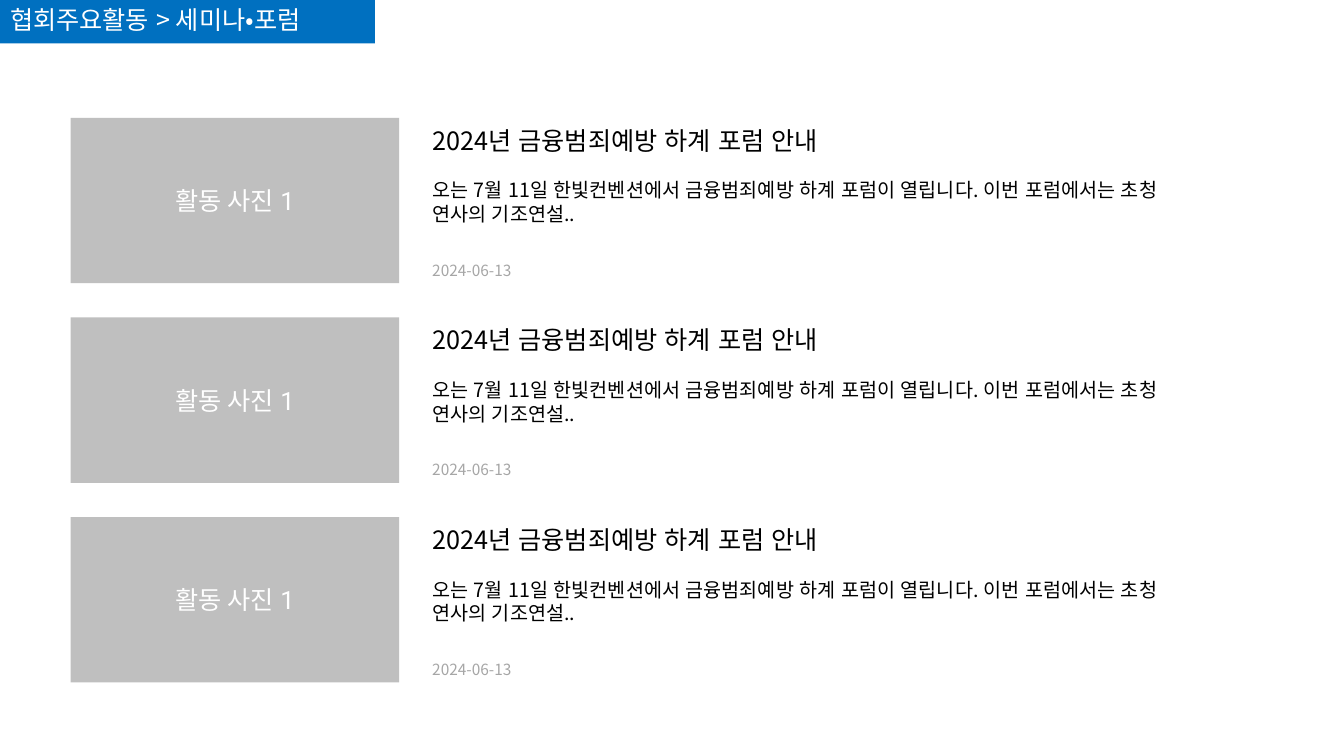
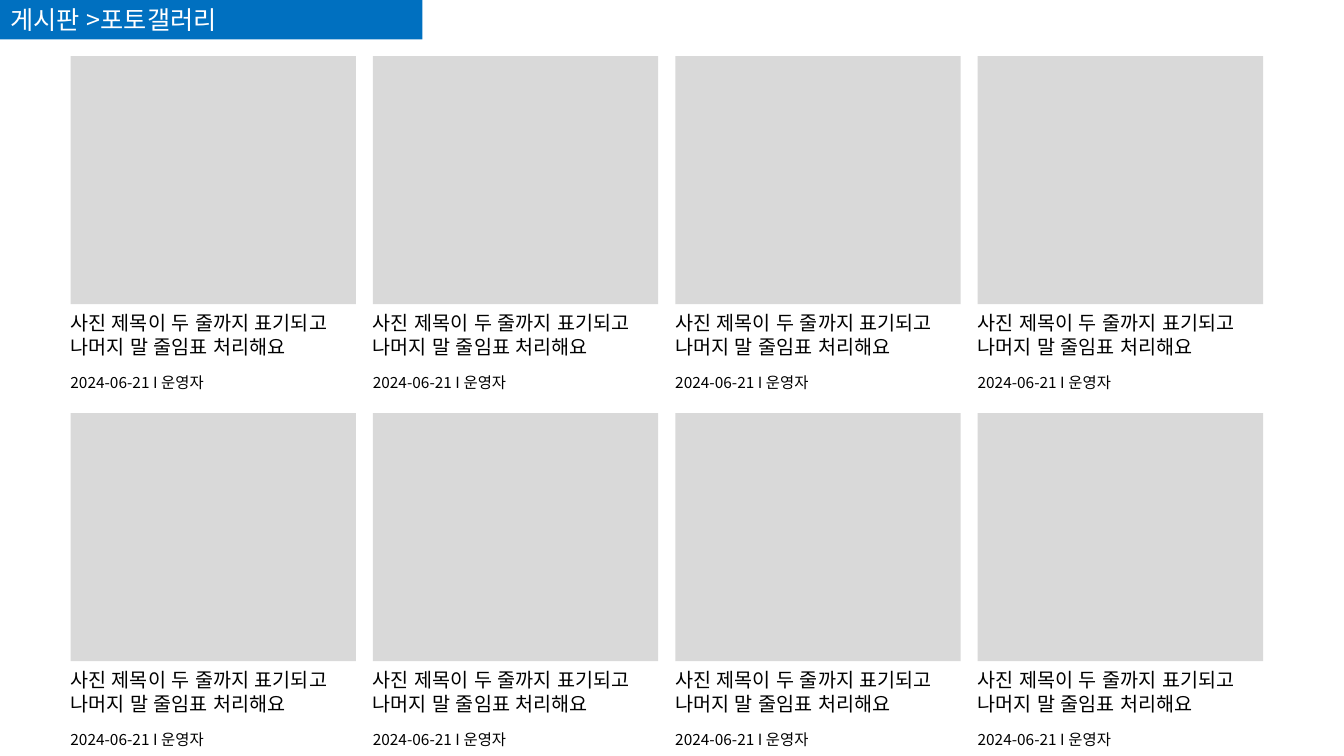
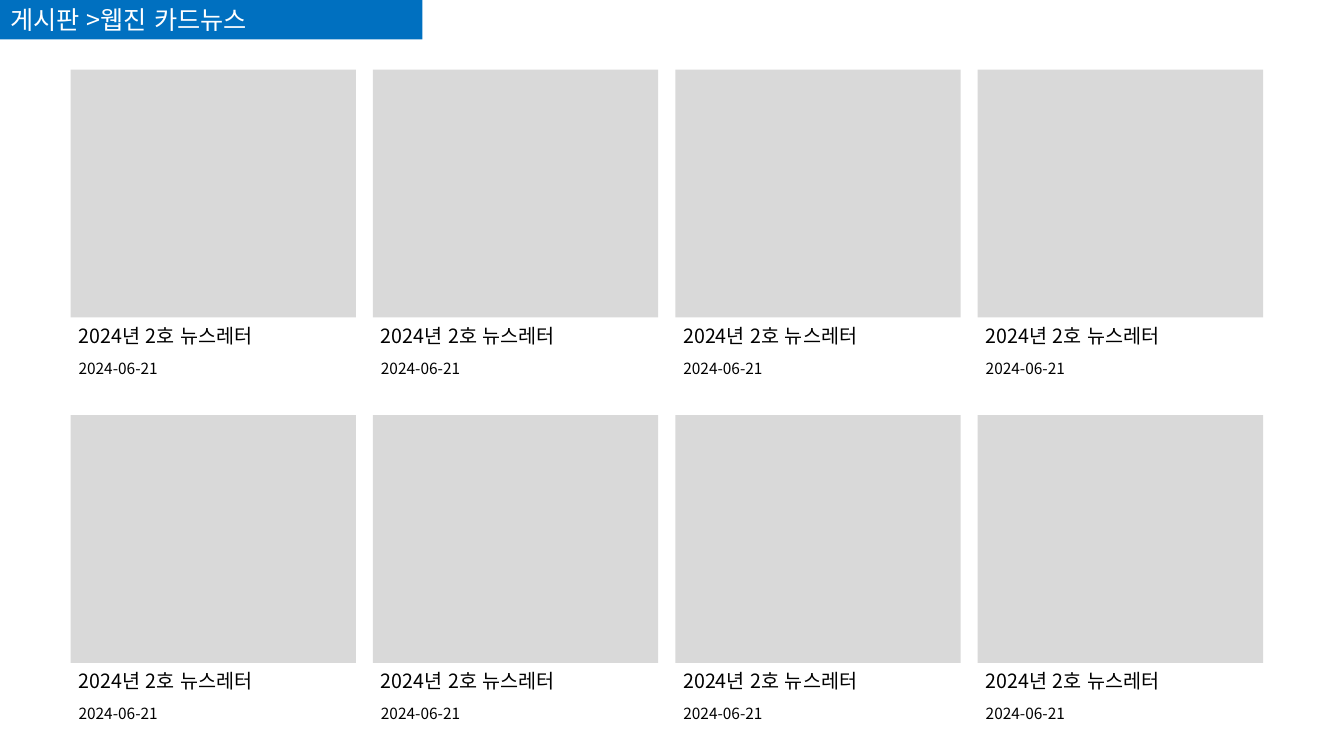
"""Build three website board slides: a forum list and two card galleries."""
from dataclasses import dataclass
from itertools import product

from lxml import etree
from pptx import Presentation
from pptx.dml.color import RGBColor
from pptx.enum.lang import MSO_LANGUAGE_ID
from pptx.enum.shapes import MSO_SHAPE
from pptx.enum.text import MSO_ANCHOR, MSO_AUTO_SIZE, PP_ALIGN
from pptx.oxml.ns import qn
from pptx.util import Pt

RECT = MSO_SHAPE.RECTANGLE
TOP, MIDDLE = MSO_ANCHOR.TOP, MSO_ANCHOR.MIDDLE
LEFT, CENTER = PP_ALIGN.LEFT, PP_ALIGN.CENTER
NO_FIT = MSO_AUTO_SIZE.NONE
KOREAN = MSO_LANGUAGE_ID.KOREAN
TITLE_ONLY = 5


@dataclass(frozen=True)
class Theme:
    """Colours, fonts and type sizes of the deck."""
    band: str = "0070C0"
    photo: str = "BFBFBF"
    card: str = "D9D9D9"
    white: str = "FFFFFF"
    ink: str = "000000"
    muted: str = "A6A6A6"
    font: str = "Noto Sans CJK KR"
    photo_font: str = "Roboto"
    head: int = 18
    body: int = 14
    small: int = 11


@dataclass(frozen=True)
class Caption:
    """Card text with offsets from the card's top left corner."""
    title: str
    date: str
    dx: float
    title_dy: float
    date_dy: float
    title_size: tuple
    date_size: tuple


T = Theme()
MARGIN = 50.4
CARD_W, CARD_H, CARD_STEP = 203.8, 177.1, 216
COLS, ROWS = 4, 2
PHOTO_W, PHOTO_H, ITEM_STEP = 234.7, 118.1, 142.6

GALLERY = Caption("사진 제목이 두 줄까지 표기되고 나머지 말 줄임표 처리해요",
                  "2024-06-21 I 운영자", -7.2, 178.6, 222.5, (211, 41), (123, 21))
NEWSLETTER = Caption("2024년 2호 뉴스레터", "2024-06-21",
                     -1.4, 177.8, 203, (191.5, 24.5), (112, 21))


def set_text(sp, text, size, color, font=T.font, align=LEFT, anchor=TOP):
    """Write one formatted paragraph into a shape."""
    tf = sp.text_frame
    for name, value in {"word_wrap": True, "auto_size": NO_FIT,
                        "vertical_anchor": anchor}.items():
        setattr(tf, name, value)
    p = tf.paragraphs[0]
    p.alignment = align
    r = p.add_run()
    r.text = text
    for name, value in {"size": Pt(size), "name": font,
                        "language_id": KOREAN}.items():
        setattr(r.font, name, value)
    r.font.color.rgb = RGBColor.from_string(color)
    ea = etree.SubElement(r._r.get_or_add_rPr(), qn("a:ea"))
    ea.set("typeface", font)


def set_fill(sp, color):
    """Give a shape a plain fill without an outline."""
    sp.fill.solid()
    sp.fill.fore_color.rgb = RGBColor.from_string(color)
    sp.line.fill.background()


def add_block(s, x, y, w, h, color):
    """Add a flat rectangle."""
    sp = s.shapes.add_shape(RECT, Pt(x), Pt(y), Pt(w), Pt(h))
    sp.shadow.inherit = False
    set_fill(sp, color)
    return sp


def add_text(s, x, y, w, h, text, size, color=T.ink):
    """Add a wrapped text box."""
    sp = s.shapes.add_textbox(Pt(x), Pt(y), Pt(w), Pt(h))
    set_text(sp, text, size, color)


def add_page(prs, title, w, h):
    """Add a slide whose title is a band in the top left corner."""
    s = prs.slides.add_slide(prs.slide_layouts[TITLE_ONLY])
    sp = s.shapes.title
    for name, value in {"left": 0, "top": -0.7, "width": w, "height": h}.items():
        setattr(sp, name, Pt(value))
    set_fill(sp, T.band)
    set_text(sp, title, T.head, T.white)
    return s


def add_item(s, x, y):
    """Add a forum entry: photo block, heading, summary and date."""
    sp = add_block(s, x, y, PHOTO_W, PHOTO_H, T.photo)
    set_text(sp, "활동 사진 1", T.head, T.white, T.photo_font, CENTER, MIDDLE)
    tx = x + 251.3
    add_text(s, tx, y + 1.4, 326, 29, "2024년 금융범죄예방 하계 포럼 안내", T.head)
    add_text(s, tx, y + 39.6, 574, 41,
             "오는 7월 11일 한빛컨벤션에서 금융범죄예방 하계 포럼이 열립니다. "
             "이번 포럼에서는 초청 연사의 기조연설..", T.body)
    add_text(s, tx, y + 98.6, 100, 21, "2024-06-13", T.small, T.muted)


def add_card(s, x, y, cap):
    """Add a gallery card with its caption and date."""
    add_block(s, x, y, CARD_W, CARD_H, T.card)
    add_text(s, x + cap.dx, y + cap.title_dy, *cap.title_size, cap.title, T.body)
    add_text(s, x + cap.dx, y + cap.date_dy, *cap.date_size, cap.date, T.small)


def forum_slide(prs):
    """Build the list of forum entries."""
    s = add_page(prs, "협회주요활동 > 세미나•포럼", 267.8, 31.7)
    for i in range(3):
        add_item(s, MARGIN, 84.2 + i * ITEM_STEP)


def card_slide(prs, title, top, row_step, cap):
    """Build a grid of cards."""
    s = add_page(prs, title, 301.7, 28.8)
    for row, col in product(range(ROWS), range(COLS)):
        add_card(s, MARGIN + col * CARD_STEP, top + row * row_step, cap)


def main():
    """Build and save the deck."""
    prs = Presentation()
    prs.slide_width, prs.slide_height = Pt(960), Pt(540)
    forum_slide(prs)
    card_slide(prs, "게시판 >포토갤러리", 40.2, 255, GALLERY)
    card_slide(prs, "게시판 >웹진 카드뉴스", 49.7, 246.8, NEWSLETTER)
    prs.save("out.pptx")


if __name__ == "__main__":
    main()
